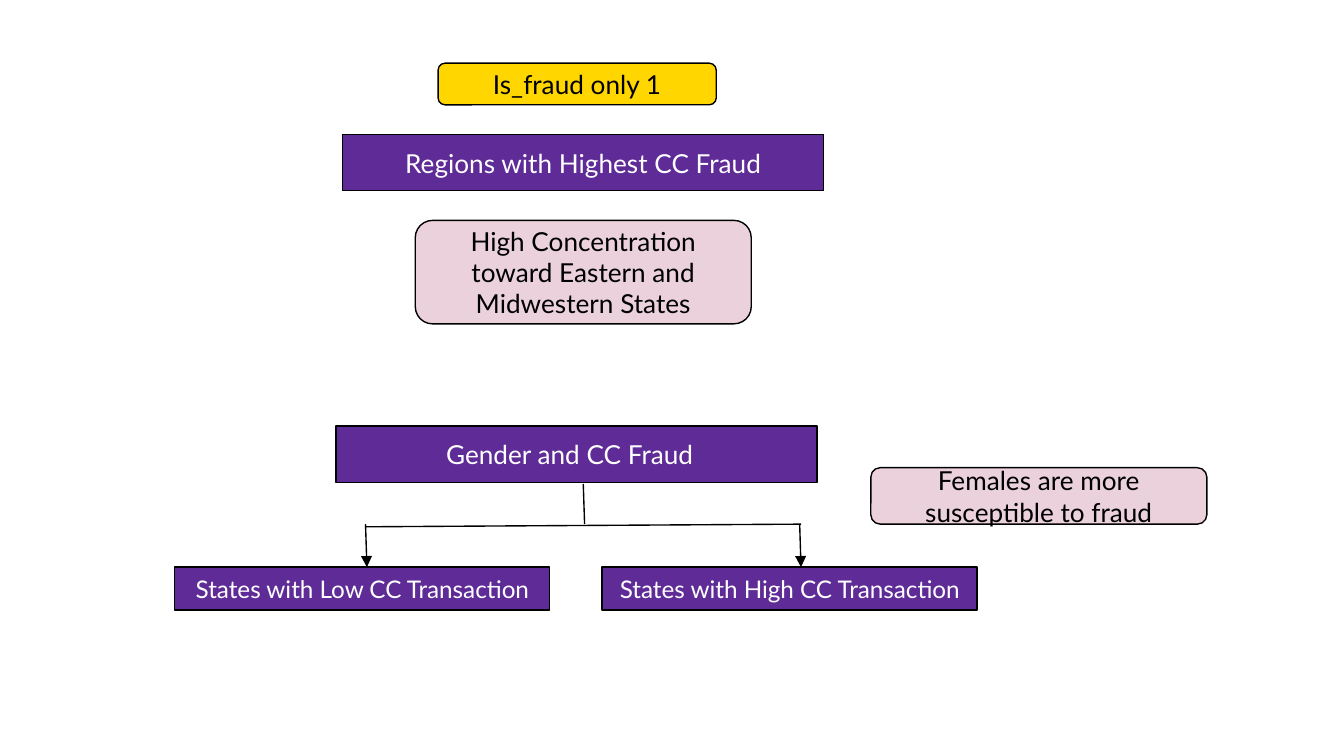
from pptx import Presentation
from pptx.dml.color import RGBColor
from pptx.enum.shapes import MSO_CONNECTOR, MSO_SHAPE
from pptx.enum.text import MSO_ANCHOR, PP_ALIGN
from pptx.oxml.ns import qn
from pptx.util import Inches, Pt
from lxml import etree

RECT = MSO_SHAPE.RECTANGLE
ROUNDED = MSO_SHAPE.ROUNDED_RECTANGLE
STRAIGHT = MSO_CONNECTOR.STRAIGHT
CENTER = PP_ALIGN.CENTER
MIDDLE = MSO_ANCHOR.MIDDLE

PURPLE = RGBColor(0x5E, 0x2B, 0x97)
YELLOW = RGBColor(0xFF, 0xD6, 0x00)
PINK = RGBColor(0xEA, 0xD1, 0xDC)
WHITE = RGBColor(0xFF, 0xFF, 0xFF)
BLACK = RGBColor(0x00, 0x00, 0x00)

FONT = "Lato"
LINE_WIDTH = Pt(0.75)
INSET = Inches(0.1)

prs = Presentation()
prs.slide_width = Inches(10)
prs.slide_height = Inches(10 * 9 / 16)
s = prs.slides.add_slide(prs.slide_layouts[6])


def add_box(text, left, top, width, height, kind, fill, color, size=14):
    sp = s.shapes.add_shape(kind, Inches(left), Inches(top), Inches(width), Inches(height))
    sp.shadow.inherit = False
    sp.fill.solid()
    sp.fill.fore_color.rgb = fill
    sp.line.color.rgb = BLACK
    sp.line.width = LINE_WIDTH
    tf = sp.text_frame
    tf.word_wrap = True
    tf.vertical_anchor = MIDDLE
    tf.margin_left = tf.margin_right = tf.margin_top = tf.margin_bottom = INSET
    p = tf.paragraphs[0]
    p.alignment = CENTER
    r = p.add_run()
    r.text = text
    r.font.name = FONT
    r.font.size = Pt(size)
    r.font.color.rgb = color
    return sp


add_box("Regions with Highest CC Fraud", 2.55, 1, 3.58, 0.42, RECT, PURPLE, WHITE)
gender = add_box("Gender and CC Fraud", 2.5, 3.17, 3.58, 0.42, RECT, PURPLE, WHITE)
gender.text_frame.margin_right = Inches(0.2)

for text, left in (
    ("States with Low CC Transaction", 1.3),
    ("States with High CC Transaction", 4.48),
):
    add_box(text, left, 4.22, 2.79, 0.32, RECT, PURPLE, WHITE, 13)

for text, left, top, width, height, fill in (
    ("Is_fraud only 1", 3.26, 0.47, 2.07, 0.31, YELLOW),
    ("High Concentration toward Eastern and Midwestern States", 3.09, 1.64, 2.5, 0.77, PINK),
    ("Females are more susceptible to fraud", 6.48, 3.48, 2.5, 0.42, PINK),
):
    add_box(text, left, top, width, height, ROUNDED, fill, BLACK)

for x1, y1, x2, y2, has_arrow in (
    (4.34, 3.6, 4.35, 3.9, False),
    (2.72, 3.92, 5.96, 3.9, False),
    (2.72, 3.9, 2.73, 4.22, True),
    (5.95, 3.9, 5.96, 4.22, True),
):
    branch = s.shapes.add_connector(STRAIGHT, Inches(x1), Inches(y1), Inches(x2), Inches(y2))
    branch.line.color.rgb = BLACK
    branch.line.width = LINE_WIDTH
    spPr = branch.element.spPr
    if has_arrow:
        etree.SubElement(spPr.find(qn("a:ln")), qn("a:tailEnd"), type="triangle")
    etree.SubElement(spPr, qn("a:effectLst"))

prs.save("out.pptx")
